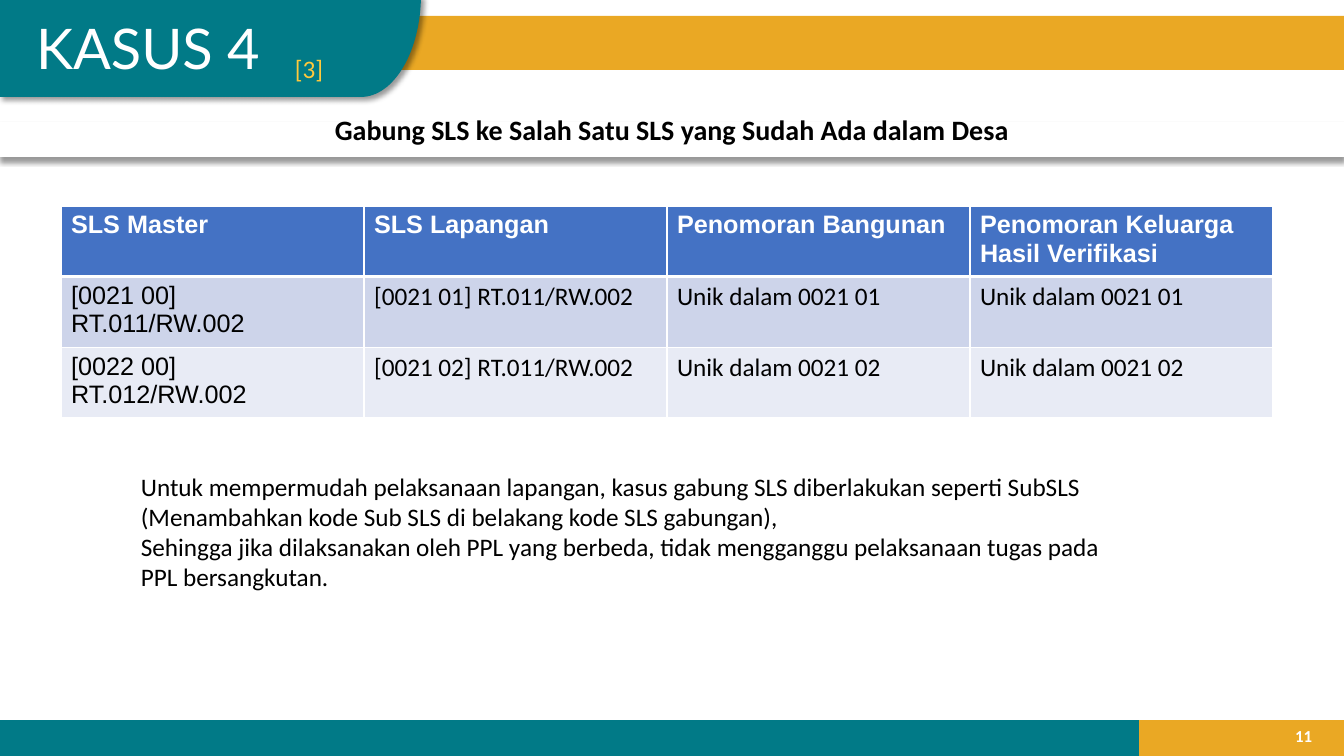
"""Build the KASUS 4 slide about merging SLS units within a village."""
from lxml.etree import SubElement
from pptx import Presentation
from pptx.dml.color import RGBColor
from pptx.enum.shapes import MSO_SHAPE
from pptx.enum.text import MSO_ANCHOR, MSO_AUTO_SIZE, PP_ALIGN
from pptx.oxml.ns import qn
from pptx.util import Pt

PX = 914400 / 100.8
WIDE, HIGH = 1344, 756
COLORS = {
    "teal": "017A87", "gold": "EAA824", "white": "FFFFFF", "black": "000000",
    "sun": "FFC93C", "blue": "4472C4", "mist": "CDD4EA", "pale": "E8EBF5",
}
TITLE = "KASUS 4"
TOPIC = "Gabung SLS ke Salah Satu SLS yang Sudah Ada dalam Desa"
TAG = "[3]"
PAGE = "11"
NOTES = [
    "Untuk mempermudah pelaksanaan lapangan, kasus gabung SLS diberlakukan "
    "seperti SubSLS (Menambahkan kode Sub SLS di belakang kode SLS gabungan),",
    "Sehingga jika dilaksanakan oleh PPL yang berbeda, tidak mengganggu "
    "pelaksanaan tugas pada PPL bersangkutan.",
]
ROWS = [
    ("SLS Master", "SLS Lapangan", "Penomoran Bangunan",
     "Penomoran Keluarga Hasil Verifikasi"),
    ("[0021 00] RT.011/RW.002", "[0021 01] RT.011/RW.002",
     "Unik dalam 0021 01", "Unik dalam 0021 01"),
    ("[0022 00] RT.012/RW.002", "[0021 02] RT.011/RW.002",
     "Unik dalam 0021 02", "Unik dalam 0021 02"),
]
FILLS = ["blue", "mist", "pale"]
GRID = (61, 206, 303, 70)
CURVE = [(421, -5), (421, 51), (394, 97), (361, 97)]
STEPS = 32


def emu(*sizes):
    return [round(size * PX) for size in sizes]


def rgb(name):
    return RGBColor.from_string(COLORS[name])


def style(frame, size, color, font="Calibri", bold=False, align=PP_ALIGN.LEFT):
    for para in frame.paragraphs:
        para.alignment = align
        for run in para.runs:
            run.font.size = Pt(size)
            run.font.name = font
            run.font.bold = bold
            run.font.color.rgb = rgb(color)


def paint(shape, color):
    shape.shadow.inherit = False
    shape.fill.solid()
    shape.fill.fore_color.rgb = rgb(color)
    shape.line.fill.background()


def bar(shapes, box, color):
    shape = shapes.add_shape(MSO_SHAPE.RECTANGLE, *emu(*box))
    paint(shape, color)
    return shape


def shade(shape, angle):
    effects = shape.element.spPr.find(qn("a:effectLst"))
    outer = SubElement(effects, qn("a:outerShdw"), blurRad=str(Pt(4)),
                       dist=str(Pt(3)), dir=str(angle * 60000),
                       algn="t", rotWithShape="0")
    tone = SubElement(outer, qn("a:srgbClr"), val=COLORS["black"])
    SubElement(tone, qn("a:alpha"), val="40000")


def label(shapes, box, text, size, color, **look):
    frame = shapes.add_textbox(*emu(*box)).text_frame
    frame.word_wrap = True
    frame.text = text
    style(frame, size, color, **look)
    return frame


def bend(part):
    rest = 1 - part
    parts = (rest ** 3, 3 * rest ** 2 * part, 3 * rest * part ** 2, part ** 3)
    return tuple(sum(k * point[axis] for k, point in zip(parts, CURVE))
                 for axis in (0, 1))


def banner(shapes):
    edge = [bend(step / STEPS) for step in range(STEPS + 1)]
    pen = shapes.build_freeform(*emu(-1, -5), scale=1.0)
    pen.add_line_segments([emu(*point) for point in edge + [(-1, 97)]])
    shape = pen.convert_to_shape()
    paint(shape, "teal")
    shade(shape, 45)


def border(cell, row):
    widths = {"L": 1, "R": 1, "T": 3 if row == 1 else 1,
              "B": 3 if row == 0 else 1}
    props = cell._tc.get_or_add_tcPr()
    for side, width in widths.items():
        line = SubElement(props, qn("a:ln" + side), w=str(Pt(width)))
        fill = SubElement(line, qn("a:solidFill"))
        SubElement(fill, qn("a:srgbClr"), val=COLORS["white"])


def grid(shapes):
    left, top, width, height = GRID
    count = len(ROWS[0])
    box = emu(left, top, width * count, height * len(ROWS))
    table = shapes.add_table(len(ROWS), count, *box).table
    for row, texts in enumerate(ROWS):
        for col, text in enumerate(texts):
            cell = table.cell(row, col)
            border(cell, row)
            cell.fill.solid()
            cell.fill.fore_color.rgb = rgb(FILLS[row])
            cell.text_frame.text = text
            head = row == 0
            style(cell.text_frame, 18, "white" if head else "black",
                  font="Arial" if head or col == 0 else "Calibri", bold=head)


def heading(shapes):
    title = shapes.title
    shapes.element.append(title.element)
    title.left, title.top, title.width, title.height = emu(26, 8, 265, 78)
    frame = title.text_frame
    frame.text = TITLE
    frame.auto_size = MSO_AUTO_SIZE.NONE
    frame.vertical_anchor = MSO_ANCHOR.TOP
    style(frame, 40, "white", font="Lato")


def main():
    deck = Presentation()
    deck.slide_width, deck.slide_height = emu(WIDE, HIGH)
    shapes = deck.slides.add_slide(deck.slide_layouts[5]).shapes
    bar(shapes, (395, 16, 966, 54), "gold")
    bar(shapes, (1139, 720, 205, 36), "gold")
    page = label(shapes, (1275, 716, 47, 40), PAGE, 12, "white",
                 bold=True, align=PP_ALIGN.RIGHT)
    page.vertical_anchor = MSO_ANCHOR.MIDDLE
    bar(shapes, (-1, 720, 1140, 36), "teal")
    banner(shapes)
    heading(shapes)
    shade(bar(shapes, (0, 122, WIDE, 35), "white"), 90)
    label(shapes, (0, 108, WIDE, 44), TOPIC, 20, "black",
          bold=True, align=PP_ALIGN.CENTER)
    label(shapes, (285, 48, 56, 40), TAG, 18, "sun")
    grid(shapes)
    label(shapes, (131, 466, 1020, 132), "\n".join(NOTES), 18, "black")
    deck.save("out.pptx")


if __name__ == "__main__":
    main()
